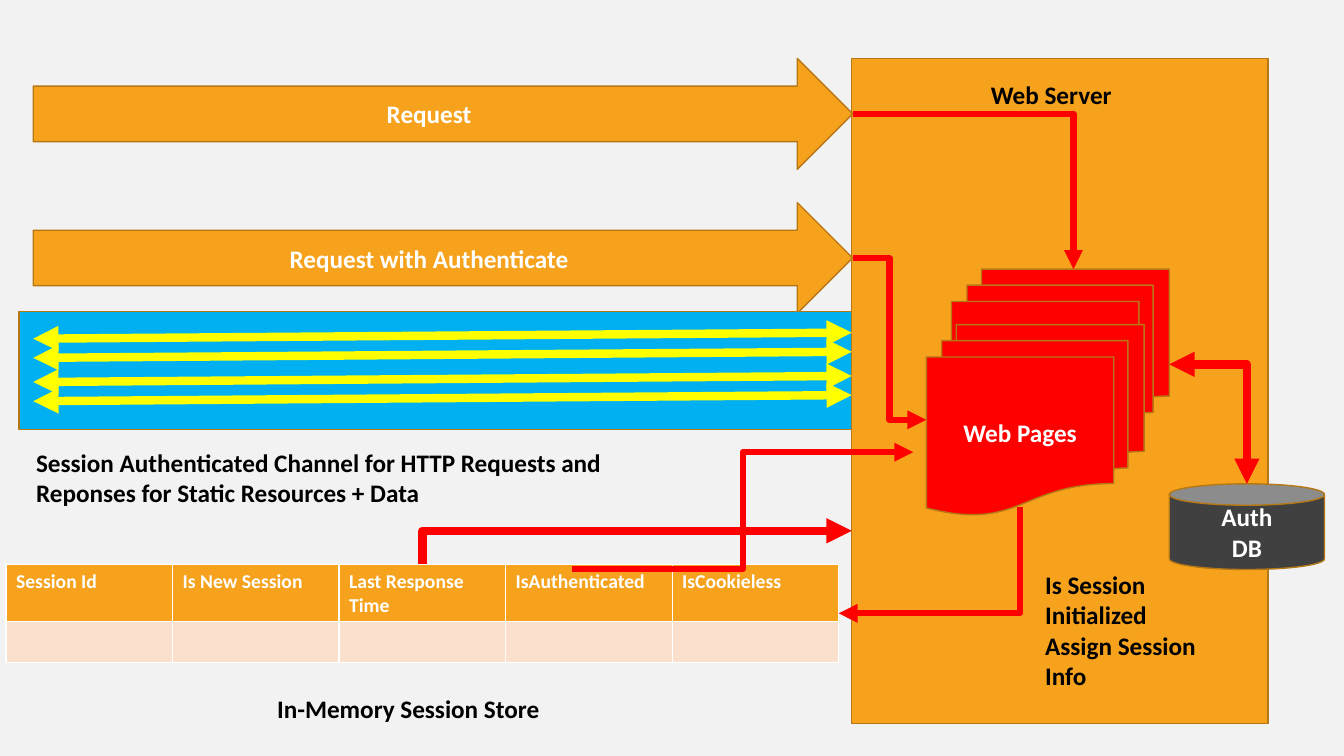
from dataclasses import dataclass
from lxml.etree import SubElement
from pptx import Presentation
from pptx.dml.color import RGBColor
from pptx.enum.shapes import MSO_CONNECTOR as Con, MSO_SHAPE as Shp
from pptx.enum.text import MSO_ANCHOR as Anc, MSO_AUTO_SIZE as Auto, PP_ALIGN as Al
from pptx.oxml.ns import qn
from pptx.util import Inches, Pt

ORANGE = RGBColor(0xF6, 0xA2, 0x1D)
BROWN = RGBColor(0xB6, 0x78, 0x15)
PEACH = RGBColor(0xFB, 0xE0, 0xCD)
RED = RGBColor(0xFF, 0x00, 0x00)
BLUE = RGBColor(0x00, 0xB0, 0xF0)
YELLOW = RGBColor(0xFF, 0xFF, 0x00)
DARK = RGBColor(0x40, 0x40, 0x40)
PALE = RGBColor(0xF2, 0xF2, 0xF2)
WHITE = RGBColor(0xFF, 0xFF, 0xFF)
BLACK = RGBColor(0x00, 0x00, 0x00)
FONT = "Calibri"
COLS, ROWS = 133.33, 75


def cell(n):
    """Turn grid cells into a length."""
    return Inches(n / 10)


@dataclass
class Box:
    """An area of the grid, in columns and rows."""
    x: float
    y: float
    w: float
    h: float

    def sub(self, dx, dy, w, h):
        """Return an area set off from the top left corner."""
        return Box(self.x + dx, self.y + dy, w, h)

    def spot(self, u, v):
        """Return the point at shares u and v of the area."""
        return self.x + u * self.w, self.y + v * self.h

    def emu(self):
        """Return left, top, width and height as lengths."""
        return [cell(n) for n in (self.x, self.y, self.w, self.h)]


def write(frame, lines, color, align=Al.LEFT, size=18):
    """Fill a text frame with bold paragraphs."""
    frame.word_wrap = True
    for i, line in enumerate(lines):
        para = frame.add_paragraph() if i else frame.paragraphs[0]
        para.alignment = align
        run = para.add_run()
        run.text = line
        font = run.font
        font.name, font.size, font.bold = FONT, Pt(size), True
        font.color.rgb = color


def shape(slide, kind, box, fill, *lines):
    """Add a filled shape with centred white text."""
    item = slide.shapes.add_shape(kind, *box.emu())
    item.shadow.inherit = False
    item.fill.solid()
    item.fill.fore_color.rgb = fill
    item.line.color.rgb = BROWN
    item.line.width = Pt(1)
    item.text_frame.vertical_anchor = Anc.MIDDLE
    write(item.text_frame, lines, WHITE, Al.CENTER)


def label(slide, box, *lines, align=Al.LEFT):
    """Add a black text box."""
    frame = slide.shapes.add_textbox(*box.emu()).text_frame
    write(frame, lines, BLACK, align)
    frame.auto_size = Auto.SHAPE_TO_FIT_TEXT


def link(slide, start, end, color, width, ends=("tail",), bends=0):
    """Add a line with arrowheads; one bend runs across first, then down."""
    kind = Con.ELBOW if bends else Con.STRAIGHT
    line = slide.shapes.add_connector(kind, *map(cell, start + end))
    line.line.color.rgb = color
    line.line.width = Pt(width)
    props = line._element.spPr
    if bends == 1:
        props.find(qn("a:prstGeom")).set("prst", "bentConnector2")
    for side in ends:
        SubElement(props.find(qn("a:ln")), qn(f"a:{side}End"), type="triangle")
    SubElement(props, qn("a:effectLst"))


def server(slide, box, back, front):
    """Draw the web server with its stacked pages."""
    shape(slide, Shp.RECTANGLE, box, ORANGE)
    label(slide, box.sub(1.8, 1.6, 36, 4), "Web Server", align=Al.CENTER)
    shape(slide, Shp.FLOWCHART_MULTIDOCUMENT, back, RED)
    shape(slide, Shp.FLOWCHART_MULTIDOCUMENT, front, RED, "Web Pages")
    label(slide, box.sub(18.2, 50.2, 19.6, 13.1),
          "Is Session Initialized", "Assign Session Info")


def store(slide, box):
    """Draw the session table and its caption."""
    heads = ("Session Id", "Is New Session", "Last Response Time",
             "IsAuthenticated", "IsCookieless")
    grid = slide.shapes.add_table(2, len(heads), *box.emu()).table
    for row, share in zip(grid.rows, (0.58, 0.42)):
        row.height = cell(box.h * share)
    for i, head in enumerate(heads):
        for j, fill in enumerate((ORANGE, PEACH)):
            spot = grid.cell(j, i)
            spot.fill.solid()
            spot.fill.fore_color.rgb = fill
        write(grid.cell(0, i).text_frame, [head], WHITE, size=14)
    label(slide, box.sub(3.8, 12.3, 72.2, 4), "In-Memory Session Store",
          align=Al.CENTER)


def channel(slide, box):
    """Draw the session channel with its two-way lines."""
    shape(slide, Shp.RECTANGLE, box, BLUE)
    label(slide, box.sub(0.7, 13, 67.3, 7.1),
          "Session Authenticated Channel for HTTP Requests and "
          "Reponses for Static Resources + Data")
    for drop in (2.7, 4.6, 7, 8.9):
        start = box.x + 1.4, box.y + drop
        end = box.x + box.w, box.y + drop - 0.6
        link(slide, start, end, YELLOW, 6, ("head", "tail"))


def build():
    """Build and save the slide."""
    deck = Presentation()
    deck.slide_width, deck.slide_height = cell(COLS), cell(ROWS)
    slide = deck.slides.add_slide(deck.slide_layouts[6])
    slide.background.fill.solid()
    slide.background.fill.fore_color.rgb = PALE

    host = Box(84.5, 5.8, 41.3, 66)
    back = Box(94.4, 26.7, 21.6, 18.9)
    front = back.sub(-2.5, 5.5, back.w, back.h)
    table = Box(0.6, 56, 82.6, 9.7)
    first = Box(3.3, 5.8, 81.3, 11)
    second = first.sub(0, 14.3, first.w, first.h)
    base = Box(116, 48, 15.4, 8.5)

    server(slide, host, back, front)
    store(slide, table)
    shape(slide, Shp.RIGHT_ARROW, first, ORANGE, "Request")
    shape(slide, Shp.RIGHT_ARROW, second, ORANGE, "Request with Authenticate")
    for start, end, width, ends, bends in (
            (host.spot(0, 0.71), table.spot(0.5, 0), 6, ("head",), 1),
            (first.spot(1, 0.5), back.spot(0.56, 0), 4.5, ("tail",), 1),
            (table.spot(1, 0.5), front.spot(0.43, 0.96), 4.5, ("head",), 1),
            (second.spot(1, 0.5), front.spot(0, 0.5), 4.5, ("tail",), 2),
            (table.spot(0.68, 0.05), front.spot(-0.06, 0.67), 4.5, ("tail",), 2)):
        link(slide, start, end, RED, width, ends, bends)
    channel(slide, Box(1.9, 30.9, 82.6, 11.7))
    shape(slide, Shp.CAN, base, DARK, "Auth", "DB")
    link(slide, back.spot(1, 0.5), base.spot(0.5, 0), RED, 6, ("head", "tail"), 1)
    deck.save("out.pptx")


build()
